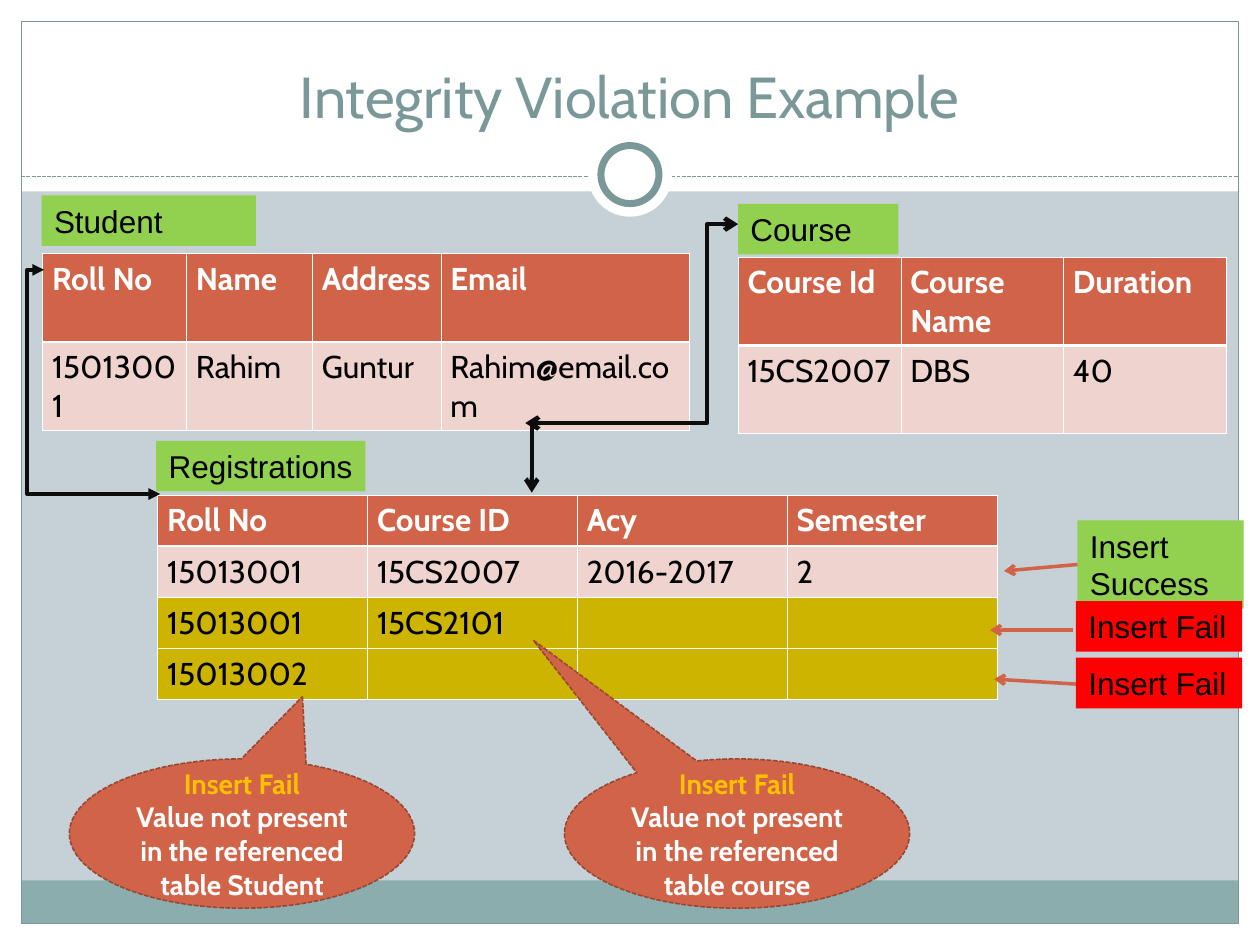
from dataclasses import dataclass

from lxml.etree import SubElement
from pptx import Presentation
from pptx.dml.color import RGBColor
from pptx.enum.dml import MSO_LINE
from pptx.enum.shapes import MSO_CONNECTOR, MSO_SHAPE
from pptx.enum.text import MSO_ANCHOR, PP_ALIGN
from pptx.oxml.ns import qn
from pptx.util import Cm, Pt


@dataclass(frozen=True)
class Theme:
    background: str = "C5D1D7"
    white: str = "FFFFFF"
    black: str = "000000"
    slate: str = "7B9899"
    footer: str = "8CADAE"
    accent: str = "D16349"
    accent_dark: str = "994733"
    pale: str = "EED3CF"
    rejected: str = "CCB400"
    green: str = "92D050"
    red: str = "FF0000"
    gold: str = "FFC000"
    ink: str = "0D0D0D"
    body_font: str = "Cabin"
    label_font: str = "Arial"
    title_size: int = 33
    text_size: int = 18
    callout_size: int = 16


THEME = Theme()
WIDTH, HEIGHT, MARGIN = 25.4, 19.05, 0.43
INNER_WIDTH = WIDTH - 2 * MARGIN
INNER_HEIGHT = HEIGHT - 2 * MARGIN
DIVIDER = 3.56
RING_CENTER = (WIDTH / 2, 3.52)

TITLE = "Integrity Violation Example"
FRAME = [
    (0, HEIGHT - MARGIN, WIDTH, MARGIN, THEME.white),
    (0, 0, WIDTH, 3.86, THEME.white),
    (0, 0, MARGIN, HEIGHT, THEME.white),
    (WIDTH - MARGIN, 0, MARGIN, HEIGHT, THEME.white),
    (MARGIN, 17.75, INNER_WIDTH, 0.87, THEME.footer),
]
RINGS = [(1.7, None, 0), (1.17, THEME.slate, 4)]
TABLES = [
    {"at": (0.86, 5.11), "columns": [2.9, 2.54, 2.59, 5.0], "row_height": 1.78, "rejected": 0,
     "rows": [["Roll No", "Name", "Address", "Email"],
              ["15013001", "Rahim", "Guntur", "Rahim@email.com"]]},
    {"at": (14.88, 5.18), "columns": [3.28] * 3, "row_height": 1.78, "rejected": 0,
     "rows": [["Course Id", "Course Name", "Duration"],
              ["15CS2007", "DBS", "40"]]},
    {"at": (3.18, 9.98), "columns": [4.23] * 4, "row_height": 1.03, "rejected": 2,
     "rows": [["Roll No", "Course ID", "Acy", "Semester"],
              ["15013001", "15CS2007", "2016-2017", "2"],
              ["15013001", "15CS2101", "", ""],
              ["15013002", "", "", ""]]},
]
LABELS = [
    ("Insert Success", 21.72, 10.49, 3.35, 1.78, THEME.green),
    ("Insert Fail", 21.69, 12.12, 3.35, 1.02, THEME.red),
    ("Insert Fail", 21.69, 13.26, 3.35, 1.02, THEME.red),
    ("Student", 0.84, 3.94, 4.32, 1.02, THEME.green),
    ("Course", 14.88, 4.11, 3.23, 1.02, THEME.green),
    ("Registrations", 3.15, 8.89, 4.22, 1.02, THEME.green),
]
CALLOUTS = [
    ("Insert Fail", "Value not present in the referenced table course", 11.38, (-0.59, -1.295)),
    ("Insert Fail", "Value not present in the referenced table Student", 1.4, (0.175, -0.918)),
]
RESULT_ARROWS = [
    (21.64, 12.7, 19.96, 12.7),
    (21.69, 13.79, 20.04, 13.69),
    (21.72, 11.38, 20.24, 11.51),
]
KEY_LINKS = [
    ((0.89, 5.44, 3.23, 9.96), 2.25, "triangle", "triangle", -14500),
    ((10.59, 8.53, 14.88, 4.52), 2.5, "arrow", "arrow", 85500),
    ((10.72, 8.53, 10.72, 9.93), 2.5, None, "arrow", None),
]


def color(value):
    return RGBColor.from_string(value)


def lengths(*values):
    return [Cm(value) for value in values]


def add_run(paragraph, text, font, size, fill, bold=False):
    run = paragraph.add_run()
    run.text = text
    run.font.name = font
    run.font.size = Pt(size)
    run.font.bold = bold
    run.font.color.rgb = color(fill)


def add_box(slide, preset, box, fill=None, line=None, width=0.75):
    shape = slide.shapes.add_shape(preset, *lengths(*box))
    shape.shadow.inherit = False
    if fill:
        shape.fill.solid()
        shape.fill.fore_color.rgb = color(fill)
    else:
        shape.fill.background()
    if line:
        shape.line.color.rgb = color(line)
        shape.line.width = Pt(width)
    else:
        shape.line.fill.background()
    return shape


def add_line(slide, ends, stroke, width, head=None, tail=None, bend=None):
    kind = MSO_CONNECTOR.STRAIGHT if bend is None else MSO_CONNECTOR.ELBOW
    connector = slide.shapes.add_connector(kind, *lengths(*ends))
    connector.line.color.rgb = color(stroke)
    connector.line.width = Pt(width)
    properties = connector.element.spPr
    outline = connector.line.fill and properties.find(qn("a:ln"))
    for tag, arrow in (("a:headEnd", head), ("a:tailEnd", tail)):
        if arrow:
            SubElement(outline, qn(tag), type=arrow)
    SubElement(properties, qn("a:effectLst"))
    if bend is not None:
        guides = properties.find(qn("a:prstGeom")).find(qn("a:avLst"))
        SubElement(guides, qn("a:gd"), name="adj1", fmla=f"val {bend}")
    return connector


def set_borders(cell, widths):
    properties = cell._tc.get_or_add_tcPr()
    for side, width in widths.items():
        border = SubElement(properties, qn(f"a:ln{side}"), w=str(Pt(width)))
        SubElement(SubElement(border, qn("a:solidFill")), qn("a:srgbClr"), val=THEME.white)


def add_data_table(slide, data):
    rows, columns = data["rows"], data["columns"]
    size = (sum(columns), data["row_height"] * len(rows))
    table = slide.shapes.add_table(len(rows), len(columns), *lengths(*data["at"], *size)).table
    table.first_row = table.horz_banding = False
    for column, width in zip(table.columns, columns):
        column.width = Cm(width)
    for row_index, values in enumerate(rows):
        header = row_index == 0
        rejected = data["rejected"] and row_index >= data["rejected"]
        fill = THEME.accent if header else THEME.rejected if rejected else THEME.pale
        borders = {"L": 0.45, "R": 0.45, "T": 1.47 if row_index == 1 else 0.45,
                   "B": 1.47 if header else 0.45}
        for column_index, value in enumerate(values):
            cell = table.cell(row_index, column_index)
            cell.margin_left = cell.margin_right = Cm(0.19)
            cell.margin_top = cell.margin_bottom = Cm(0.13)
            set_borders(cell, borders)
            cell.fill.solid()
            cell.fill.fore_color.rgb = color(fill)
            if value:
                add_run(cell.text_frame.paragraphs[0], value, THEME.body_font, THEME.text_size,
                        THEME.white if header else THEME.black, header)


def add_frame(slide):
    for *box, fill in FRAME:
        add_box(slide, MSO_SHAPE.RECTANGLE, box, fill)
    add_box(slide, MSO_SHAPE.RECTANGLE, (MARGIN, MARGIN, INNER_WIDTH, INNER_HEIGHT), line=THEME.slate)
    divider = add_line(slide, (MARGIN, DIVIDER, WIDTH - MARGIN, DIVIDER), THEME.slate, 0.75)
    divider.line.dash_style = MSO_LINE.SQUARE_DOT
    for diameter, line, width in RINGS:
        left, top = (center - diameter / 2 for center in RING_CENTER)
        add_box(slide, MSO_SHAPE.OVAL, (left, top, diameter, diameter), THEME.white, line, width)
    frame = slide.shapes.add_textbox(*lengths(0.84, 0.64, 23.7, 2.11)).text_frame
    frame.word_wrap = True
    frame.vertical_anchor = MSO_ANCHOR.BOTTOM
    frame.paragraphs[0].alignment = PP_ALIGN.CENTER
    add_run(frame.paragraphs[0], TITLE, THEME.body_font, THEME.title_size, THEME.slate)


def add_label(slide, text, *box, fill):
    frame = add_box(slide, MSO_SHAPE.RECTANGLE, box, fill).text_frame
    frame.word_wrap = True
    frame.vertical_anchor = MSO_ANCHOR.TOP
    frame.paragraphs[0].alignment = PP_ALIGN.LEFT
    add_run(frame.paragraphs[0], text, THEME.label_font, THEME.text_size, THEME.black)


def add_callout(slide, heading, reason, left, pointer):
    shape = add_box(slide, MSO_SHAPE.OVAL_CALLOUT, (left, 15.3, 6.96, 3.01),
                    THEME.accent, THEME.accent_dark, 0.91)
    shape.line.dash_style = MSO_LINE.SQUARE_DOT
    shape.adjustments[0], shape.adjustments[1] = pointer
    frame = shape.text_frame
    frame.word_wrap = True
    frame.vertical_anchor = MSO_ANCHOR.MIDDLE
    paragraphs = (frame.paragraphs[0], frame.add_paragraph())
    for paragraph, text, fill in zip(paragraphs, (heading, reason), (THEME.gold, THEME.white)):
        paragraph.alignment = PP_ALIGN.CENTER
        add_run(paragraph, text, THEME.body_font, THEME.callout_size, fill, True)


def main():
    """Build the integrity violation slide and save it."""
    presentation = Presentation()
    presentation.slide_width, presentation.slide_height = lengths(WIDTH, HEIGHT)
    slide = presentation.slides.add_slide(presentation.slide_layouts[6])
    slide.background.fill.solid()
    slide.background.fill.fore_color.rgb = color(THEME.background)
    add_frame(slide)
    for data in TABLES:
        add_data_table(slide, data)
    for *label, fill in LABELS:
        add_label(slide, *label, fill=fill)
    for ends in RESULT_ARROWS:
        add_line(slide, ends, THEME.accent, 2, tail="arrow")
    for callout in CALLOUTS:
        add_callout(slide, *callout)
    for ends, width, head, tail, bend in KEY_LINKS:
        add_line(slide, ends, THEME.ink, width, head, tail, bend)
    presentation.save("out.pptx")


if __name__ == "__main__":
    main()
